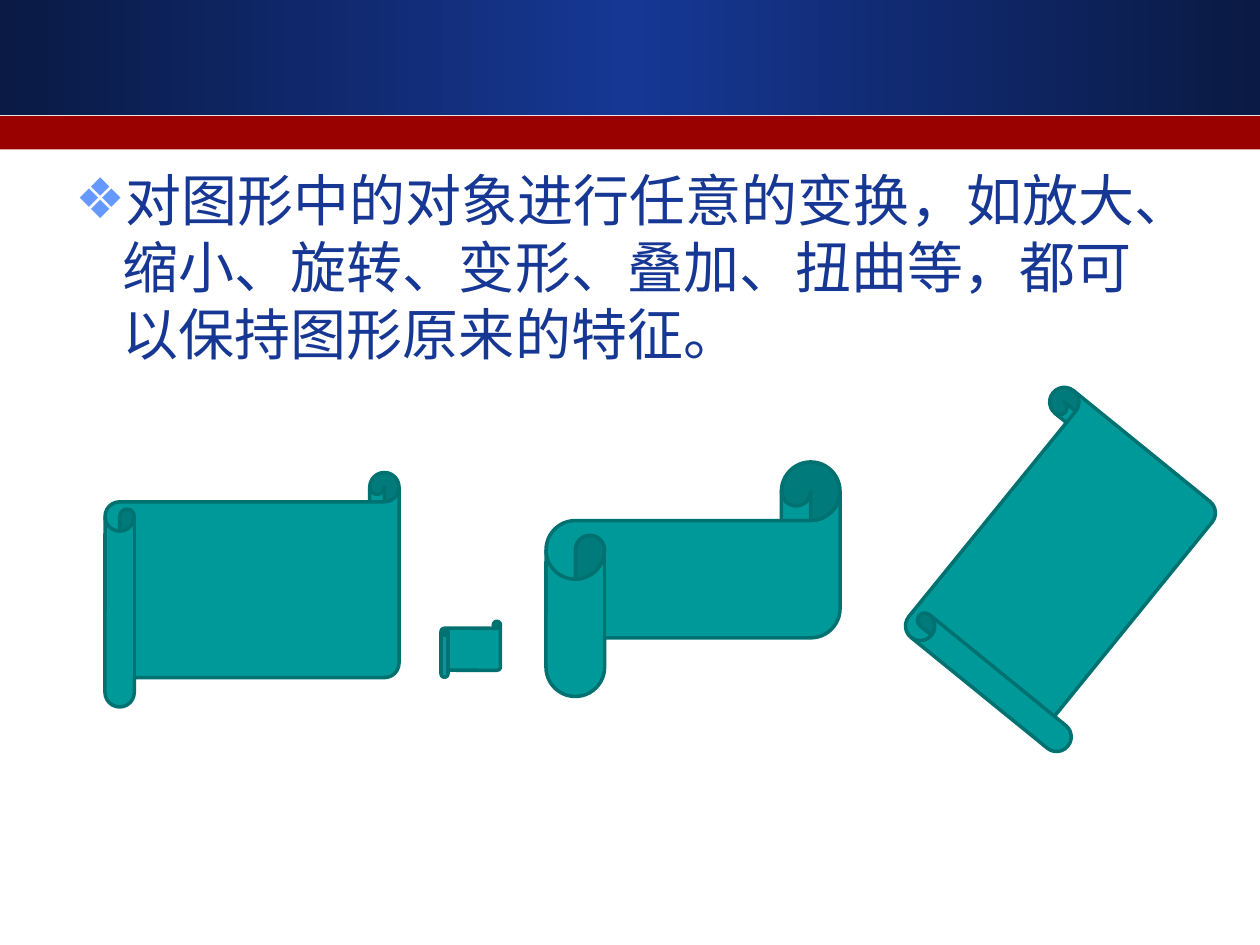
"""Build a slide on how vector shapes keep their features under transformation."""
from copy import deepcopy

from lxml import etree
from pptx import Presentation
from pptx.dml.color import RGBColor
from pptx.enum import shapes, text
from pptx.oxml.ns import qn
from pptx.util import Pt

THEME = {
    "font": "Arial", "body_size": 32, "outline": 2,
    "band_edge": "0A1A44", "band_middle": "163794", "stripe": "990000",
    "text": "163794", "bullet": "6699FF",
    "scroll": "009999", "scroll_line": "007171",
}
BODY_TEXT = ("对图形中的对象进行任意的变换，如放大、缩小、旋转、变形、叠加、扭曲等，"
             "都可以保持图形原来的特征。")
BODY_BOX = (36, 90.72, 648, 413.28)
HANGING = 27
BAND_BOX = (0, 0, 720, 65.7)
STRIPE_BOX = (0, 66.2, 720, 19.2)
FULL_SIZE, SMALL_SIZE = (168, 134), (34, 32)
SCROLLS = [
    {"position": (60, 270), "size": FULL_SIZE},
    {"position": (252, 355), "size": SMALL_SIZE},
    {"position": (312, 264), "size": FULL_SIZE, "curl": 0.25},
    {"position": (522, 258.4), "size": FULL_SIZE, "rotation": 309.1},
]


def color(name):
    return RGBColor.from_string(THEME[name])


def add_shape(slide, kind, box, fill=None, line=None):
    shape = slide.shapes.add_shape(kind, *map(Pt, box))
    shape.shadow.inherit = False
    if fill:
        shape.fill.solid()
        shape.fill.fore_color.rgb = color(fill)
    if line:
        shape.line.color.rgb = color(line)
        shape.line.width = Pt(THEME["outline"])
    else:
        shape.line.fill.background()
    return shape


def add_header(slide):
    rectangle = shapes.MSO_SHAPE.RECTANGLE
    band = add_shape(slide, rectangle, BAND_BOX)
    band.fill.gradient()
    band.fill.gradient_angle = 0
    stop_list = band._element.spPr.find(".//" + qn("a:gsLst"))
    stop_list.insert(1, deepcopy(stop_list[0]))
    names = ("band_edge", "band_middle", "band_edge")
    for stop, name, position in zip(band.fill.gradient_stops, names, (0, 0.5, 1)):
        stop.color.rgb = color(name)
        stop.position = position
    add_shape(slide, rectangle, STRIPE_BOX, "stripe")


def fill_body(body):
    body.left, body.top, body.width, body.height = map(Pt, BODY_BOX)
    frame = body.text_frame
    frame.text = BODY_TEXT
    frame.word_wrap = True
    frame.auto_size = text.MSO_AUTO_SIZE.NONE
    paragraph = frame.paragraphs[0]
    properties = paragraph._p.get_or_add_pPr()
    properties.set("marL", str(Pt(HANGING)))
    properties.set("indent", str(-Pt(HANGING)))
    bullet_color = etree.SubElement(properties, qn("a:buClr"))
    etree.SubElement(bullet_color, qn("a:srgbClr"), val=THEME["bullet"])
    etree.SubElement(properties, qn("a:buChar"), char="❖")
    paragraph.space_before = Pt(0)
    font = paragraph.runs[0].font
    font.name = THEME["font"]
    font.size = Pt(THEME["body_size"])
    font.color.rgb = color("text")


def add_scrolls(slide):
    for scroll in SCROLLS:
        shape = add_shape(slide, shapes.MSO_SHAPE.HORIZONTAL_SCROLL,
                          scroll["position"] + scroll["size"], "scroll", "scroll_line")
        shape.adjustments[0] = scroll.get("curl", 0.125)
        shape.rotation = scroll.get("rotation", 0)


def main():
    presentation = Presentation()
    presentation.slide_width, presentation.slide_height = Pt(720), Pt(540)
    slide = presentation.slides.add_slide(presentation.slide_layouts[1])
    title = slide.shapes.title._element
    title.getparent().remove(title)
    add_header(slide)
    fill_body(slide.placeholders[1])
    add_scrolls(slide)
    presentation.save("out.pptx")


if __name__ == "__main__":
    main()
